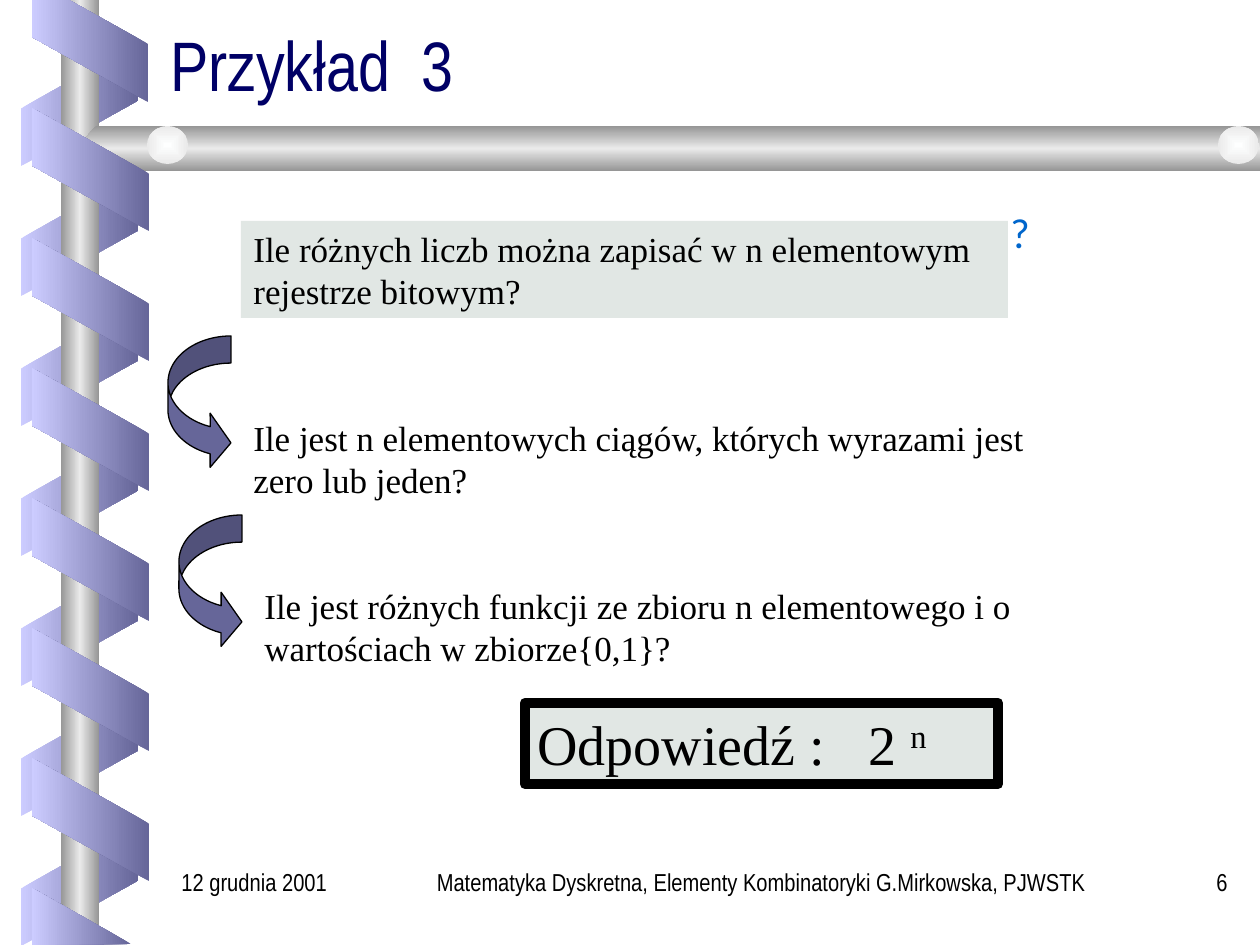
import pptx
import pptx.util
import pptx.oxml
import pptx.oxml.ns
import pptx.dml.color
import pptx.enum.shapes
import pptx.enum.text

SCALE = 914400 / 126
SHAPE = pptx.enum.shapes.MSO_SHAPE
ALIGN = pptx.enum.text.PP_ALIGN
ANCHOR = pptx.enum.text.MSO_ANCHOR
NS = pptx.oxml.ns.nsdecls("a")


def px(n):
    return pptx.util.Emu(round(n * SCALE))


def color(value):
    return pptx.dml.color.RGBColor.from_string(value)


class Deck:
    serif, narrow, symbol = "Times New Roman", "Arial Narrow", "Calibri"
    black, navy, blue = "000000", "000066", "0066CC"
    light, dark, panel = "CCCCFF", "666699", "E1E7E4"
    steel = ("969696", "EAEAEA", "969696")
    pearl = ("FEFFFF", "EAEAEA")

    def __init__(self):
        self.prs = pptx.Presentation()
        self.prs.slide_width, self.prs.slide_height = px(1260), px(945)
        self.slide = self.prs.slides.add_slide(self.prs.slide_layouts[6])

    def gradient(self, sp, colors, angle=None):
        step = 100000 // (len(colors) - 1)
        stops = "".join(
            f'<a:gs pos="{i * step}"><a:srgbClr val="{c}"/></a:gs>'
            for i, c in enumerate(colors))
        if angle is None:
            direction = ('<a:path path="rect"><a:fillToRect l="50000" t="50000" '
                         'r="50000" b="50000"/></a:path>')
        else:
            direction = f'<a:lin ang="{angle * 60000}" scaled="0"/>'
        sp.fill.background()
        empty = sp._element.spPr.find(pptx.oxml.ns.qn("a:noFill"))
        sp._element.spPr.replace(empty, pptx.oxml.parse_xml(
            f'<a:gradFill {NS} rotWithShape="0"><a:gsLst>{stops}</a:gsLst>'
            f'{direction}</a:gradFill>'))

    def finish(self, sp, fill, angle=None, line=0):
        sp.shadow.inherit = False
        if isinstance(fill, tuple):
            self.gradient(sp, fill, angle)
        else:
            sp.fill.solid()
            sp.fill.fore_color.rgb = color(fill)
        if line:
            sp.line.color.rgb = color(self.black)
            sp.line.width = pptx.util.Pt(line)
        else:
            sp.line.fill.background()
        return sp

    def shape(self, kind, box, fill, angle=None, line=0, adjust=()):
        sp = self.slide.shapes.add_shape(kind, *map(px, box))
        for i, value in enumerate(adjust):
            sp.adjustments[i] = value
        return self.finish(sp, fill, angle, line)

    def freeform(self, points, fill, angle):
        builder = self.slide.shapes.build_freeform(*points[0], scale=SCALE)
        builder.add_line_segments(points[1:], close=True)
        return self.finish(builder.convert_to_shape(), fill, angle)

    def band(self, left, top, rotation, fill, flip=False):
        sp = self.shape(SHAPE.PARALLELOGRAM, (left, top, 123, 117), fill, 180,
                        adjust=(0.56,))
        sp.rotation = rotation
        if flip:
            sp._element.spPr.xfrm.set("flipH", "1")

    def add_runs(self, sp, runs, size, font, ink="000000", align=ALIGN.LEFT,
                 anchor=ANCHOR.TOP, spacing=None, tab=None, wrap=True):
        tf = sp.text_frame
        tf.word_wrap = wrap
        tf.vertical_anchor = anchor
        p = tf.paragraphs[0]
        p.alignment = align
        if spacing:
            p.line_spacing = spacing
        if tab:
            p._p.get_or_add_pPr().append(pptx.oxml.parse_xml(
                f'<a:tabLst {NS}><a:tab pos="{px(tab)}" algn="l"/></a:tabLst>'))
        for text, baseline in runs:
            r = p.add_run()
            r.text = text
            r.font.size = pptx.util.Pt(size)
            r.font.name = font
            r.font.color.rgb = color(ink)
            if baseline:
                r.font._element.set("baseline", str(baseline * 1000))

    def text(self, box, text, size, font, **style):
        sp = self.slide.shapes.add_textbox(*map(px, box))
        self.add_runs(sp, [(text, 0)], size, font, **style)


def draw_spiral(deck):
    back, front = (deck.light, deck.dark), (deck.dark, deck.light)
    for i in range(7):
        deck.band(18, 46 + 130 * i, 90, back, flip=True)
    deck.shape(SHAPE.RECTANGLE, (61, 0, 38, 945), deck.steel, 180)
    deck.freeform([(1260, 126), (96, 126), (76, 149), (96, 171), (1260, 171)],
                  deck.steel, 90)
    for left in (147, 1218):
        deck.shape(SHAPE.OVAL, (left, 126, 41, 38), deck.pearl)
    for i in range(6):
        deck.band(29, 111 + 130 * i, 270, front)
    deck.freeform([(32, 0), (32, 37), (148, 102), (148, 44), (69, 0)], front, 180)
    deck.freeform([(131, 944), (32, 888), (32, 945)], front, 180)


def main():
    deck = Deck()
    draw_spiral(deck)
    deck.text((158, 32, 1071, 79), "Przykład\t3", 40, deck.narrow, ink=deck.navy,
              anchor=ANCHOR.BOTTOM, spacing=0.8, tab=251)

    question = deck.shape(SHAPE.RECTANGLE, (241, 221, 767, 97), deck.panel)
    deck.add_runs(question, [("Ile różnych liczb można zapisać w n elementowym "
                              "rejestrze bitowym?", 0)], 20, deck.serif)
    deck.text((998, 200, 116, 158), "?", 24, deck.symbol, ink=deck.blue, wrap=False)
    deck.text((241, 410, 819, 97), "Ile jest n elementowych ciągów, których "
              "wyrazami jest zero lub jeden?", 20, deck.serif)
    deck.text((252, 578, 809, 97), "Ile jest różnych funkcji ze zbioru n "
              "elementowego i o wartościach w zbiorze{0,1}?", 20, deck.serif)
    for left, top in ((168, 336), (179, 515)):
        deck.shape(SHAPE.CURVED_RIGHT_ARROW, (left, top, 63, 134), deck.dark,
                   line=0.75, adjust=(0.43, 0.86, 0.33))

    answer = deck.shape(SHAPE.RECTANGLE, (525, 703, 473, 81), deck.panel, line=6)
    deck.add_runs(answer, [("Odpowiedź :\t2 ", 0), ("n", 30)], 32, deck.serif, tab=331)

    for left, width, text, align in (
            (399, 725, "Matematyka Dyskretna, Elementy Kombinatoryki "
             "G.Mirkowska, PJWSTK", ALIGN.CENTER),
            (1134, 106, "6", ALIGN.RIGHT),
            (169, 219, "12 grudnia 2001", ALIGN.LEFT)):
        deck.text((left, 861, width, 63), text, 14, deck.narrow, align=align)
    deck.prs.save("out.pptx")


if __name__ == "__main__":
    main()
